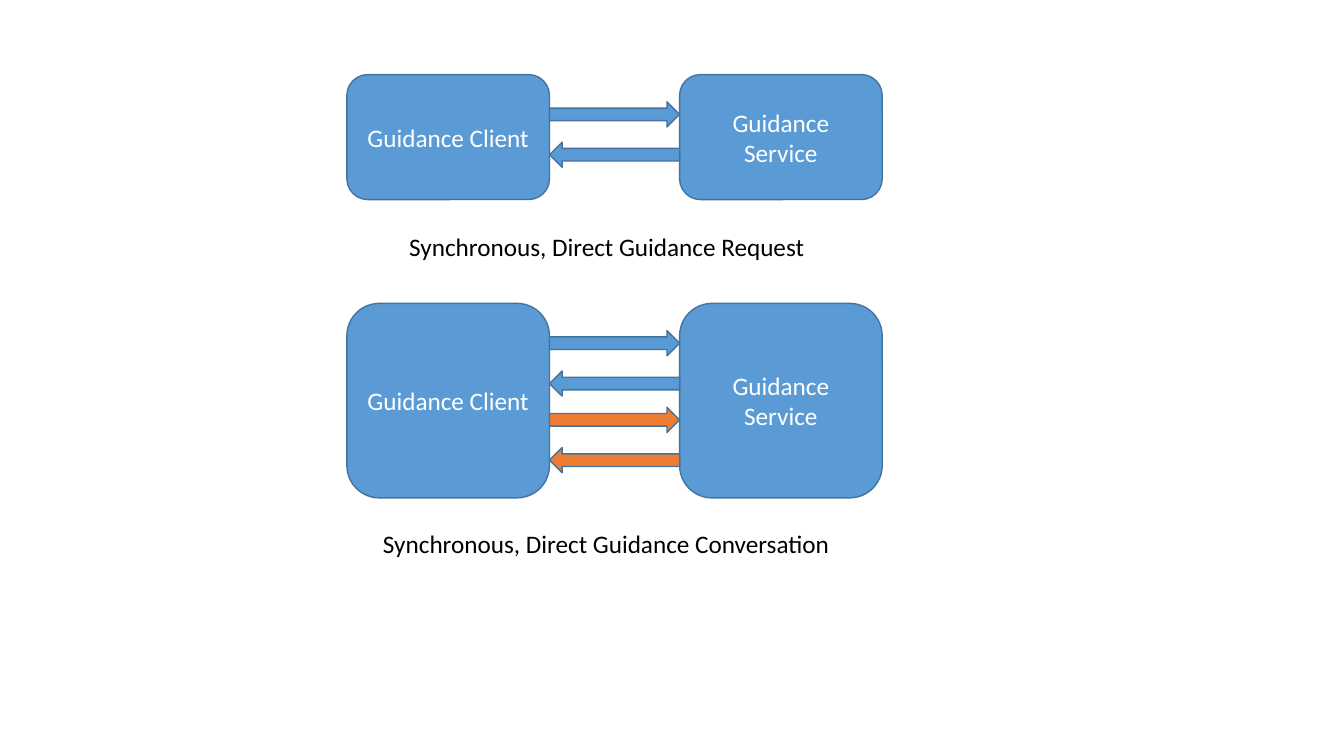
from pptx import Presentation
from pptx.dml.color import RGBColor
from pptx.enum.shapes import MSO_SHAPE
from pptx.enum.text import MSO_ANCHOR, MSO_AUTO_SIZE, PP_ALIGN
from pptx.util import Emu, Pt

ROUNDED = MSO_SHAPE.ROUNDED_RECTANGLE
ARROW = MSO_SHAPE.RIGHT_ARROW
MIDDLE = MSO_ANCHOR.MIDDLE
FIT_SHAPE = MSO_AUTO_SIZE.SHAPE_TO_FIT_TEXT
LEFT, CENTER = PP_ALIGN.LEFT, PP_ALIGN.CENTER

EMU_PER_PX = 9144  # 100 px to the inch
BLUE, ORANGE, OUTLINE = "5B9BD5", "ED7D31", "43739E"
WHITE, BLACK = "FFFFFF", "000000"

NODE_WIDTH = 201
ARROW_HEIGHT = 25
FIRST_ARROW = 27    # from the top of the nodes
REPLY_OFFSET = 40   # from a request to its reply
ROUND_PITCH = 76    # from one request to the next
CAPTION_HEIGHT = 40


def px(length):
    return Emu(round(length * EMU_PER_PX))


def color(hex_string):
    return RGBColor.from_string(hex_string)


def set_text(shape, text, text_color, alignment):
    text_frame = shape.text_frame
    text_frame.word_wrap = True
    text_frame.text = text
    paragraph = text_frame.paragraphs[0]
    paragraph.alignment = alignment
    font = paragraph.runs[0].font
    font.name, font.size = "Calibri", Pt(18)
    font.color.rgb = color(text_color)


def add_block(slide, kind, left, top, width, height, fill):
    shape = slide.shapes.add_shape(kind, px(left), px(top), px(width), px(height))
    shape.shadow.inherit = False
    shape.fill.solid()
    shape.fill.fore_color.rgb = color(fill)
    shape.line.color.rgb = color(OUTLINE)
    shape.line.width = Pt(1)
    return shape


def add_node(slide, left, top, height, label):
    node = add_block(slide, ROUNDED, left, top, NODE_WIDTH, height, BLUE)
    node.text_frame.vertical_anchor = MIDDLE
    set_text(node, label, WHITE, CENTER)


def add_caption(slide, center, top, width, text):
    caption = slide.shapes.add_textbox(
        px(center - width / 2), px(top), px(width), px(CAPTION_HEIGHT))
    set_text(caption, text, BLACK, LEFT)
    caption.text_frame.auto_size = FIT_SHAPE


def add_exchange(slide, left, top, width, height, round_colors,
                 caption, caption_width, caption_gap):
    # Client and service
    add_node(slide, left, top, height, "Guidance Client")
    add_node(slide, left + width - NODE_WIDTH, top, height, "Guidance Service")

    # Request and reply arrows, one pair per round
    arrow_left = left + NODE_WIDTH
    arrow_width = width - 2 * NODE_WIDTH
    for index, fill in enumerate(round_colors):
        request_top = top + FIRST_ARROW + index * ROUND_PITCH
        add_block(slide, ARROW, arrow_left, request_top,
                  arrow_width, ARROW_HEIGHT, fill)
        reply = add_block(slide, ARROW, arrow_left, request_top + REPLY_OFFSET,
                          arrow_width, ARROW_HEIGHT, fill)
        reply.rotation = 180

    # Caption centred under the nodes
    add_caption(slide, left + width / 2, top + height + caption_gap,
                caption_width, caption)


def main():
    presentation = Presentation()
    presentation.slide_width, presentation.slide_height = px(1333), px(750)
    slide = presentation.slides.add_slide(presentation.slide_layouts[6])

    add_exchange(slide, 344, 74, 531, 124, [BLUE],
                 "Synchronous, Direct Guidance Request", 427, 27)
    add_exchange(slide, 344, 301, 531, 193, [BLUE, ORANGE],
                 "Synchronous, Direct Guidance Conversation", 479, 25)

    presentation.save("out.pptx")


if __name__ == "__main__":
    main()
